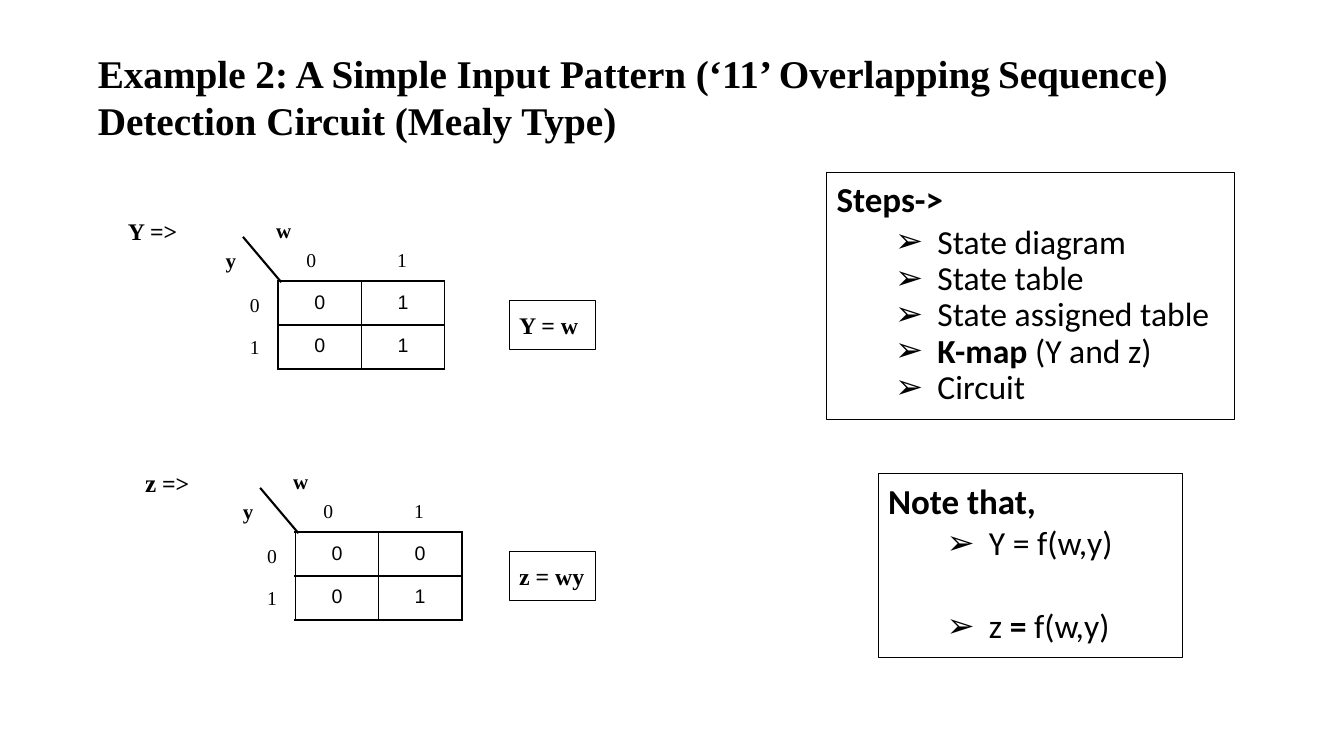
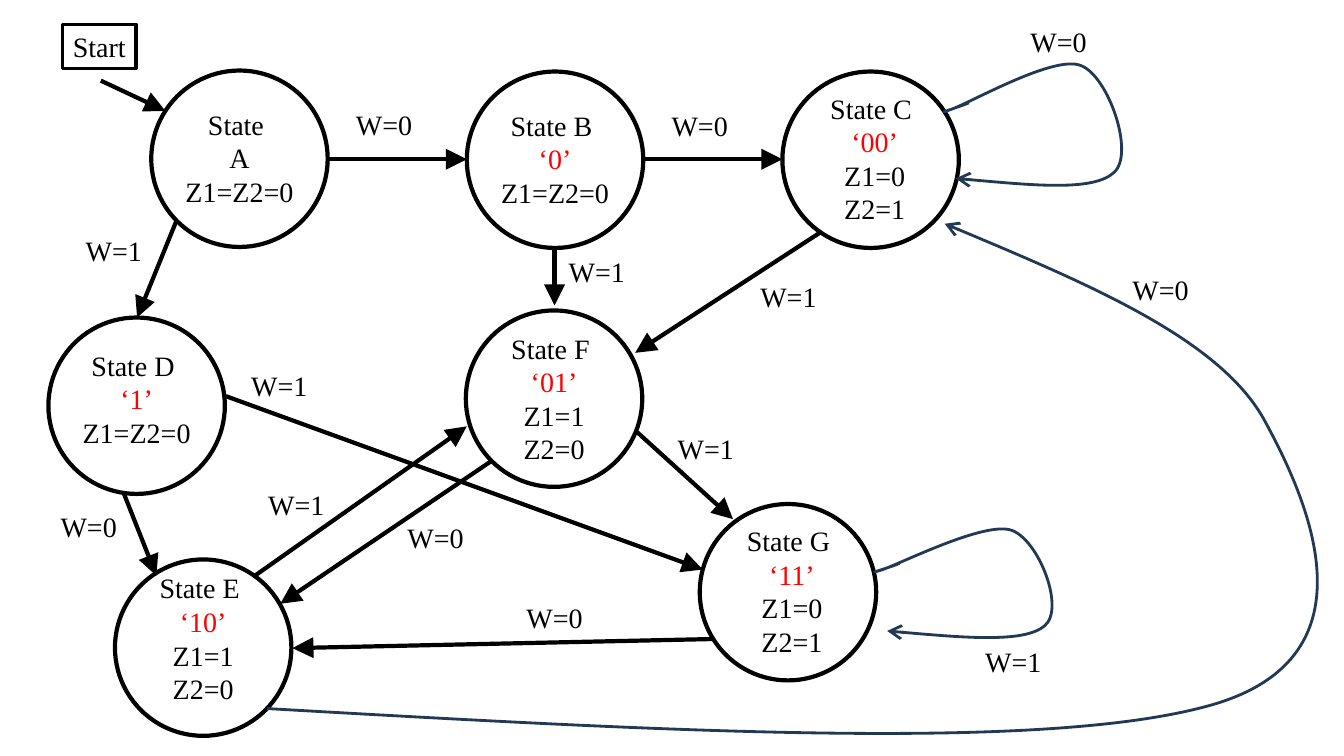
"""Build two slides on sequence detection: Mealy K-maps and a state diagram."""
from lxml.etree import SubElement
from pptx import Presentation
from pptx.dml.color import RGBColor
from pptx.enum.shapes import MSO_CONNECTOR, MSO_SHAPE
from pptx.enum.text import MSO_ANCHOR, PP_ALIGN
from pptx.oxml.ns import qn
from pptx.util import Inches, Pt

BLACK = RGBColor(0x00, 0x00, 0x00)
RED = RGBColor(0xFF, 0x00, 0x00)
NAVY = RGBColor(0x23, 0x39, 0x53)
SERIF, SANS, CELL_FONT = "Times New Roman", "Calibri", "Arial"

TITLE = [
    ("Example 2: A Simple Input Pattern (‘11’ Overlapping", {}),
    (" ", {"size": Pt(23)}),
    ("Sequence) Detection Circuit (Mealy Type)", {}),
]
BOLD, PLAIN = {"bold": True}, {"bold": False}
LIST_BOXES = [
    ((8.2, 1.71, 4.04, 2.45), "Steps->", [
        ("State diagram", 3.6),
        ("State table", 0),
        ("State assigned table", 0),
        ([("K-map", BOLD), (" (Y and z)", PLAIN)], 0),
        ("Circuit", 0),
    ]),
    ((8.71, 4.7, 3.02, 1.82), "Note that,", [
        ("Y = f(w,y)", 3.6),
        ([("z", PLAIN), (" = ", BOLD), ("f(w,y)", PLAIN)], 33.4),
    ]),
]
K_MAPS = [
    (2.76, 2.79, "Y =>", "Y = w", ["01", "01"]),
    (2.93, 5.28, [("z", {"size": Pt(18)}), (" =>", {})], "z = wy", ["00", "01"]),
]
AXIS_LABELS = [
    ("y", -0.62, -0.43, 15, True),
    ("w", -0.12, -0.73, 15, True),
    ("0", 0.18, -0.43, 14, False),
    ("1", 1.08, -0.43, 14, False),
    ("0", -0.38, 0.02, 14, False),
    ("1", -0.38, 0.43, 14, False),
]

DIAMETER = 1.75
STATES = [
    (1.5, 0.7, 0, 0, ["State ", "A", "Z1=Z2=0"]),
    (4.63, 0.71, 0, 0, ["State B ", "‘0’", "Z1=Z2=0"]),
    (7.76, 0.71, 0.04, 0, ["State C ", "‘00’", "Z1=0", "Z2=1"]),
    (0.48, 3.15, 0, -0.06, ["State D ", "‘1’", "Z1=Z2=0"]),
    (1.14, 5.55, 0, -0.08, ["State E ", "‘10’", "Z1=1", "Z2=0"]),
    (4.62, 3.08, 0, 0.01, ["State F ", "‘01’", "Z1=1", "Z2=0"]),
    (6.94, 5, 0.04, 0, ["State G ", "‘11’", "Z1=0", "Z2=1"]),
]
START_BOX, START_ARROW = (0.62, 0.24, 0.73, 0.44), ((1, 0.8), (1.64, 1.1))
TRANSITIONS = [
    ((3.25, 1.58), (4.63, 1.58), "W=0", (3.43, 1.02)),
    ((6.38, 1.58), (7.76, 1.58), "W=0", (6.56, 1.03)),
    ((1.23, 4.9), (1.55, 5.71), "W=0", (0.5, 5.01)),
    ((1.75, 2.19), (1.36, 3.15), "W=1", (0.75, 2.27)),
    ((2.53, 5.71), (4.63, 4.23), "W=1", (2.56, 4.79)),
    ((4.88, 4.57), (2.78, 5.99), "W=0", (3.94, 5.11)),
    ((5.5, 2.48), (5.5, 3.03), "W=1", (5.54, 2.48)),
    ((6.3, 4.27), (7.27, 5.15), "W=1", (6.62, 4.23)),
    ((7.06, 6.34), (2.9, 6.43), "W=0", (5.12, 5.91)),
    ((8.13, 2.31), (6.3, 3.5), "W=1", (7.44, 2.72)),
    ((2.24, 3.93), (6.97, 5.65), "W=1", (2.39, 3.61)),
]
CURVES = [
    ([(9.48, 1.77), (10.16, 1.83), (10.85, 1.9), (11.05, 1.71),
      (11.26, 1.52), (10.99, 0.75), (10.72, 0.65),
      (10.45, 0.54), (9.61, 1.03), (9.42, 1.09),
      (9.24, 1.15), (9.54, 1.05), (9.61, 1.02)], "headEnd", "W=0", (10.12, 0.19)),
    ([(8.8, 6.26), (9.48, 6.32), (10.16, 6.38), (10.36, 6.21),
      (10.57, 6.04), (10.3, 5.35), (10.03, 5.26),
      (9.76, 5.17), (8.92, 5.6), (8.73, 5.66),
      (8.55, 5.71), (8.86, 5.62), (8.92, 5.59)], "headEnd", "W=1", (9.67, 6.34)),
    ([(2.65, 7.03), (6.52, 7.25), (10.38, 7.47), (12.03, 6.99),
      (13.68, 6.51), (12.97, 4.95), (12.53, 4.15),
      (12.08, 3.36), (10.73, 2.79), (9.37, 2.22)], "tailEnd", "W=0", (11.13, 2.65)),
]


def inches(values):
    return [Inches(value) for value in values]


def style(target, size, font=SERIF, bold=False, color=BLACK):
    target.font.size = Pt(size)
    target.font.name = font
    target.font.bold = bold
    target.font.color.rgb = color


def fill_paragraph(paragraph, content):
    for text, changes in [(content, {})] if isinstance(content, str) else content:
        run = paragraph.add_run()
        run.text = text
        for attribute, value in changes.items():
            setattr(run.font, attribute, value)


def set_frame(shape, margins, wrap=True):
    frame = shape.text_frame
    frame.word_wrap = wrap
    frame.vertical_anchor = MSO_ANCHOR.TOP
    (frame.margin_left, frame.margin_top,
     frame.margin_right, frame.margin_bottom) = inches(margins)
    return frame


def add_text(slide, box, content, size, bold=False, margins=(0.1,) * 4):
    shape = slide.shapes.add_textbox(*inches(box))
    paragraph = set_frame(shape, margins).paragraphs[0]
    fill_paragraph(paragraph, content)
    style(paragraph, size, bold=bold)


def add_outline(slide, preset, box, width):
    shape = slide.shapes.add_shape(preset, *inches(box))
    shape.shadow.inherit = False
    shape.fill.background()
    shape.line.color.rgb = BLACK
    shape.line.width = Pt(width)
    return shape


def add_arrowhead(shape, end, kind):
    line = shape.line._get_or_add_ln()
    SubElement(line, qn("a:" + end), type=kind, w="lg", len="lg")


def add_line(slide, start, end, width, arrow=False):
    connector = slide.shapes.add_connector(MSO_CONNECTOR.STRAIGHT, *inches(start + end))
    connector.line.color.rgb = BLACK
    connector.line.width = Pt(width)
    if arrow:
        add_arrowhead(connector, "tailEnd", "triangle")
    SubElement(connector._element.spPr, qn("a:effectLst"))


def add_list_box(slide, box, heading, items):
    shape = add_outline(slide, MSO_SHAPE.RECTANGLE, box, 0.75)
    frame = set_frame(shape, (0.1,) * 4)
    for index, (content, space) in enumerate([(heading, 3.6)] + items):
        paragraph = frame.add_paragraph() if index else frame.paragraphs[0]
        fill_paragraph(paragraph, content)
        if index:
            properties = paragraph._p.get_or_add_pPr()
            properties.set("marL", str(Inches(1)))
            properties.set("indent", str(Inches(-0.42)))
            color = SubElement(properties, qn("a:buClr"))
            SubElement(color, qn("a:srgbClr"), val=str(BLACK))
            SubElement(properties, qn("a:buFont"), typeface=CELL_FONT)
            SubElement(properties, qn("a:buChar"), char="➢")
        paragraph.alignment = PP_ALIGN.LEFT
        paragraph.line_spacing = 0.9
        paragraph.space_before = Pt(space)
        style(paragraph, 24 if index else 25, SANS, bold=not index)


def add_cell_borders(cell):
    properties = cell._tc.get_or_add_tcPr()
    for index, side in enumerate(("lnL", "lnR", "lnT", "lnB")):
        border = SubElement(properties, qn("a:" + side), w=str(Pt(1.5)))
        fill = SubElement(border, qn("a:solidFill"))
        SubElement(fill, qn("a:srgbClr"), val=str(BLACK))
        properties.insert(index, border)


def add_k_map(slide, left, top, name, equation, rows):
    table = slide.shapes.add_table(2, 2, *inches((left, top, 1.65, 0.86))).table
    table.first_row = table.horz_banding = False
    for row, values in enumerate(rows):
        for column, value in enumerate(values):
            cell = table.cell(row, column)
            cell.fill.background()
            (cell.margin_left, cell.margin_top,
             cell.margin_right, cell.margin_bottom) = inches((0.1,) * 4)
            add_cell_borders(cell)
            paragraph = cell.text_frame.paragraphs[0]
            fill_paragraph(paragraph, value)
            paragraph.alignment = PP_ALIGN.CENTER
            style(paragraph.runs[0], 14, CELL_FONT)
    add_line(slide, (left - 0.35, top - 0.44), (left + 0.03, top + 0.01), 1.5)
    for text, across, down, size, bold in AXIS_LABELS:
        add_text(slide, (left + across, top + down, 0.38, 0.44), text, size, bold)
    add_text(slide, (left - 1.59, top - 0.74, 0.85, 0.49), name, 17, True)
    shape = add_outline(slide, MSO_SHAPE.RECTANGLE, (5.05, top + 0.19, 0.86, 0.49), 0.75)
    paragraph = set_frame(shape, (0.1,) * 4).paragraphs[0]
    fill_paragraph(paragraph, equation)
    paragraph.alignment = PP_ALIGN.LEFT
    style(paragraph, 17, bold=True)


def write_centered(shape, lines):
    frame = set_frame(shape, (0.1, 0.05, 0.1, 0.05), wrap=False)
    for index, line in enumerate(lines):
        paragraph = frame.add_paragraph() if index else frame.paragraphs[0]
        fill_paragraph(paragraph, line)
        paragraph.alignment = PP_ALIGN.CENTER
        style(paragraph, 20, color=RED if line.startswith("‘") else BLACK)


def add_label(slide, text, position):
    write_centered(slide.shapes.add_textbox(*inches(position + (0.76, 0.44))), [text])


def add_state(slide, left, top, shift_x, shift_y, lines):
    add_outline(slide, MSO_SHAPE.OVAL, (left, top, DIAMETER, DIAMETER), 3)
    width, height = 1.28, 0.1 + 0.34 * len(lines)
    box = (left + (DIAMETER - width) / 2 + shift_x,
           top + (DIAMETER - height) / 2 + shift_y, width, height)
    write_centered(slide.shapes.add_textbox(*inches(box)), lines)


def bezier_points(controls, steps=16):
    for first in range(0, len(controls) - 1, 3):
        for step in range(1, steps + 1):
            t = step / steps
            weights = ((1 - t) ** 3, 3 * t * (1 - t) ** 2, 3 * t * t * (1 - t), t ** 3)
            yield tuple(
                Inches(sum(weight * point[axis] for weight, point
                           in zip(weights, controls[first:first + 4])))
                for axis in (0, 1))


def add_curve(slide, controls, arrow_end):
    builder = slide.shapes.build_freeform(*inches(controls[0]))
    builder.add_line_segments(list(bezier_points(controls)), close=False)
    curve = builder.convert_to_shape()
    outline = next(curve._element.iter(qn("a:path")))
    for segment in list(outline)[1:]:
        outline.remove(segment)
    for index, (x, y) in enumerate(controls[1:]):
        if index % 3 == 0:
            segment = SubElement(outline, qn("a:cubicBezTo"))
        SubElement(segment, qn("a:pt"), x=str(Inches(x) - curve.left),
                   y=str(Inches(y) - curve.top))
    curve.shadow.inherit = False
    curve.fill.background()
    curve.line.color.rgb = NAVY
    curve.line.width = Pt(2)
    add_arrowhead(curve, arrow_end, "arrow")


def build_k_map_slide(slide):
    add_text(slide, (0.97, 0.47, 11.6, 0.96), TITLE, 28, True, (0, 0.02, 0, 0))
    for list_box in LIST_BOXES:
        add_list_box(slide, *list_box)
    for k_map in K_MAPS:
        add_k_map(slide, *k_map)


def build_state_slide(slide):
    write_centered(add_outline(slide, MSO_SHAPE.RECTANGLE, START_BOX, 2.25), ["Start"])
    add_line(slide, *START_ARROW, 3, arrow=True)
    for state in STATES:
        add_state(slide, *state)
    for start, end, label, position in TRANSITIONS:
        add_line(slide, start, end, 3, arrow=True)
        add_label(slide, label, position)
    for controls, arrow_end, label, position in CURVES:
        add_curve(slide, controls, arrow_end)
        add_label(slide, label, position)


def main():
    presentation = Presentation()
    presentation.slide_width, presentation.slide_height = inches((13.33, 7.5))
    for build in (build_k_map_slide, build_state_slide):
        build(presentation.slides.add_slide(presentation.slide_layouts[6]))
    presentation.save("out.pptx")


if __name__ == "__main__":
    main()
